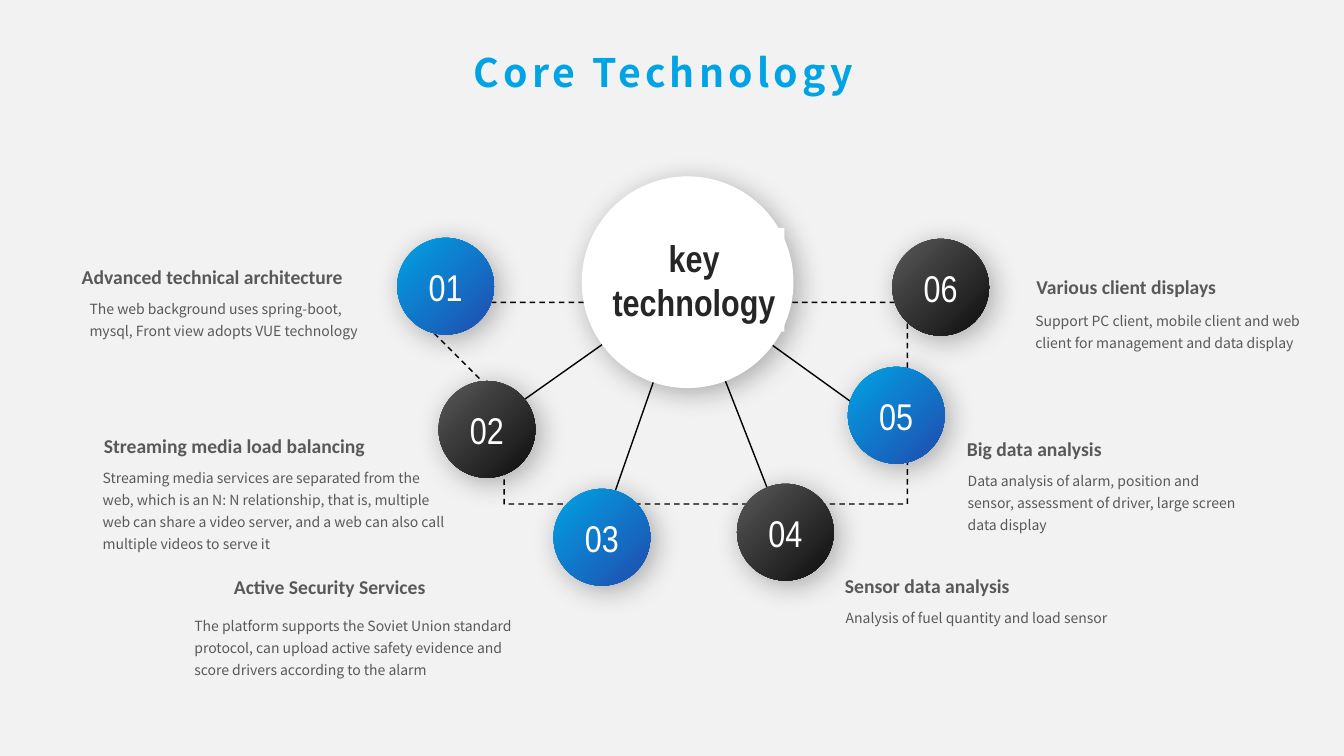
import pptx
import pptx.dml.color
import pptx.enum.dml
import pptx.enum.shapes
import pptx.enum.text
import pptx.oxml.ns
import pptx.util
from lxml import etree

Inches = pptx.util.Inches
Pt = pptx.util.Pt
RGBColor = pptx.dml.color.RGBColor
qn = pptx.oxml.ns.qn
SHAPE = pptx.enum.shapes.MSO_SHAPE
ALIGN = pptx.enum.text.PP_ALIGN
ANCHOR = pptx.enum.text.MSO_ANCHOR

BACKDROP = RGBColor(0xF2, 0xF2, 0xF2)
WHITE = RGBColor(0xFF, 0xFF, 0xFF)
BLACK = RGBColor(0, 0, 0)
SKY = RGBColor(0x00, 0xA3, 0xE4)
NAVY = RGBColor(0x21, 0x4B, 0xAE)
GREY = RGBColor(0x59, 0x59, 0x59)
INK = RGBColor(0x0D, 0x0D, 0x0D)
CHARCOAL = RGBColor(0x26, 0x26, 0x26)

SANS = "Noto Sans CJK SC"
NARROW = "Arial Narrow"
HEADING_FONT = "Calibri"
BADGE_SIZE = 0.96

TOPICS = [
    ((3.94, 2.36), (0.64, 2.58, 3.24, 0.42), "Advanced technical architecture",
     (0.79, 2.88, 2.88, 0.76),
     "The web background uses spring-boot, mysql, Front view adopts VUE technology"),
    ((4.35, 3.78), (0.86, 4.26, 3.43, 0.42), "Streaming media load balancing",
     (0.92, 4.56, 3.6, 0.97),
     "Streaming media services are separated from the web, which is an N: N relationship, "
     "that is, multiple web can share a video server, and a web can also call multiple "
     "videos to serve it"),
    ((5.49, 4.85), (2.15, 5.66, 2.36, 0.42), "Active Security Services",
     (1.83, 6.03, 3.5, 0.76),
     "The platform supports the Soviet Union standard protocol, can upload active safety "
     "evidence and score drivers according to the alarm"),
    ((7.31, 4.8), (8.21, 5.65, 2.53, 0.42), "Sensor data analysis",
     (8.29, 5.95, 2.93, 0.32), "Analysis of fuel quantity and load sensor"),
    ((8.41, 3.64), (9.42, 4.29, 2.36, 0.42), "Big data analysis",
     (9.5, 4.59, 2.93, 0.76),
     "Data analysis of alarm, position and sensor, assessment of driver, large screen "
     "data display"),
    ((8.85, 2.37), (10.11, 2.68, 2.36, 0.42), "Various client displays",
     (10.17, 3, 2.93, 0.54),
     "Support PC client, mobile client and web client for management and data display"),
]

ORBIT_START = (4.39, 2.84)
ORBIT_CURVES = [
    ((4.77, 2.85), (8.96, 2.78), (9.39, 2.9)),
    ((9.46, 3.23), (8.51, 5.38), (6.84, 5.46)),
    ((5.16, 5.53), (4.02, 2.82), (4.39, 2.84)),
]
SPOKE_ORIGIN = (6.82, 2.82)
SPOKE_ENDS = [(4.64, 4.36), (5.91, 5.42), (7.8, 5.33), (8.96, 4.36)]


def inches(values):
    return [Inches(value) for value in values]


def write(shape, text, size, font, color, bold=False, align=None, spacing=None):
    frame = shape.text_frame
    frame.word_wrap = True
    frame.text = text
    paragraph = frame.paragraphs[0]
    paragraph.alignment = align
    paragraph.line_spacing = spacing
    run = paragraph.runs[0]
    run.font.size = Pt(size)
    run.font.name = font
    run.font.bold = bold
    run.font.color.rgb = color
    return run


def set_insets(frame, side):
    frame.margin_left = frame.margin_right = Inches(side)
    frame.margin_top = frame.margin_bottom = 0


def add_plain(shapes, kind, box):
    shape = shapes.add_shape(kind, *inches(box))
    shape.shadow.inherit = False
    shape.line.fill.background()
    return shape


def cast_shadow(shape):
    effects = shape._element.spPr.find(qn("a:effectLst"))
    shadow = etree.SubElement(effects, qn("a:outerShdw"), blurRad=str(Pt(20)),
                              dist=str(Pt(5)), dir="2700000", algn="tl", rotWithShape="0")
    color = etree.SubElement(shadow, qn("a:srgbClr"), val=str(BLACK))
    etree.SubElement(color, qn("a:alpha"), val="30000")


def add_title(slide, box):
    title = slide.shapes.add_textbox(*inches(box))
    run = write(title, "Core Technology", 28, SANS, SKY, True, ALIGN.CENTER, 1.3)
    run.font._element.set("spc", "300")


def add_orbit(slide, start, curves, steps=40):
    points = [start]
    for first, second, end in curves:
        origin = points[-1]
        for step in range(1, steps + 1):
            t = step / steps
            u = 1 - t
            points.append(tuple(
                u**3 * a + 3 * u * u * t * b + 3 * u * t * t * c + t**3 * d
                for a, b, c, d in zip(origin, first, second, end)))
    builder = slide.shapes.build_freeform(*start, scale=Inches(1))
    builder.add_line_segments(points[1:], close=True)
    orbit = builder.convert_to_shape()
    orbit.shadow.inherit = False
    orbit.fill.background()
    orbit.line.color.rgb = BLACK
    orbit.line.width = Pt(1)
    orbit.line.dash_style = pptx.enum.dml.MSO_LINE.DASH


def add_spokes(slide, origin, ends):
    for end in ends:
        spoke = slide.shapes.add_connector(
            pptx.enum.shapes.MSO_CONNECTOR.STRAIGHT, *inches(end + origin))
        spoke.line.color.rgb = BLACK
        spoke.line.width = Pt(1)
        etree.SubElement(spoke._element.spPr, qn("a:effectLst"))


def add_badge(slide, box, number):
    badge = add_plain(slide.shapes, SHAPE.OVAL, box)
    badge.fill.gradient()
    badge.fill.gradient_angle = 315
    colors = (SKY, NAVY) if number % 2 else (GREY, INK)
    for stop, color in zip(badge.fill.gradient_stops, colors):
        stop.color.rgb = color
    cast_shadow(badge)
    write(badge, f"{number:02d}", 26.6, NARROW, WHITE, align=ALIGN.CENTER)
    badge.text_frame.vertical_anchor = ANCHOR.MIDDLE


def add_caption(slide, heading_box, heading_text, detail_box, detail_text):
    heading = slide.shapes.add_textbox(*inches(heading_box))
    set_insets(heading.text_frame, 0.17)
    write(heading, heading_text, 14, HEADING_FONT, GREY, True, spacing=1.2)
    detail = slide.shapes.add_textbox(*inches(detail_box))
    write(detail, detail_text, 10, SANS, GREY, spacing=1.3)
    detail.text_frame.auto_size = pptx.enum.text.MSO_AUTO_SIZE.SHAPE_TO_FIT_TEXT


def add_hub(slide, box):
    left, top = box[:2]
    hub = slide.shapes.add_group_shape()
    disc = add_plain(hub.shapes, SHAPE.OVAL, box)
    cast_shadow(disc)
    label = add_plain(hub.shapes, SHAPE.RECTANGLE, (left + 0.22, top + 0.51, 1.79, 1.03))
    for part in (disc, label):
        part.fill.solid()
        part.fill.fore_color.rgb = WHITE
    set_insets(label.text_frame, 0)
    write(label, "key technology", 26.6, NARROW, CHARCOAL, True, ALIGN.CENTER)
    label.text_frame.vertical_anchor = ANCHOR.MIDDLE


def main():
    deck = pptx.Presentation()
    deck.slide_width = Inches(13.33)
    deck.slide_height = Inches(7.5)
    slide = deck.slides.add_slide(deck.slide_layouts[6])
    slide.background.fill.solid()
    slide.background.fill.fore_color.rgb = BACKDROP

    add_orbit(slide, ORBIT_START, ORBIT_CURVES)
    add_spokes(slide, SPOKE_ORIGIN, SPOKE_ENDS)
    for number, (corner, *caption) in enumerate(TOPICS, 1):
        add_badge(slide, corner + (BADGE_SIZE, BADGE_SIZE), number)
        add_caption(slide, *caption)
    add_hub(slide, (5.77, 1.75, 2.1, 2.1))
    add_title(slide, (3.66, 0.29, 5.84, 0.45))
    deck.save("out.pptx")


if __name__ == "__main__":
    main()
